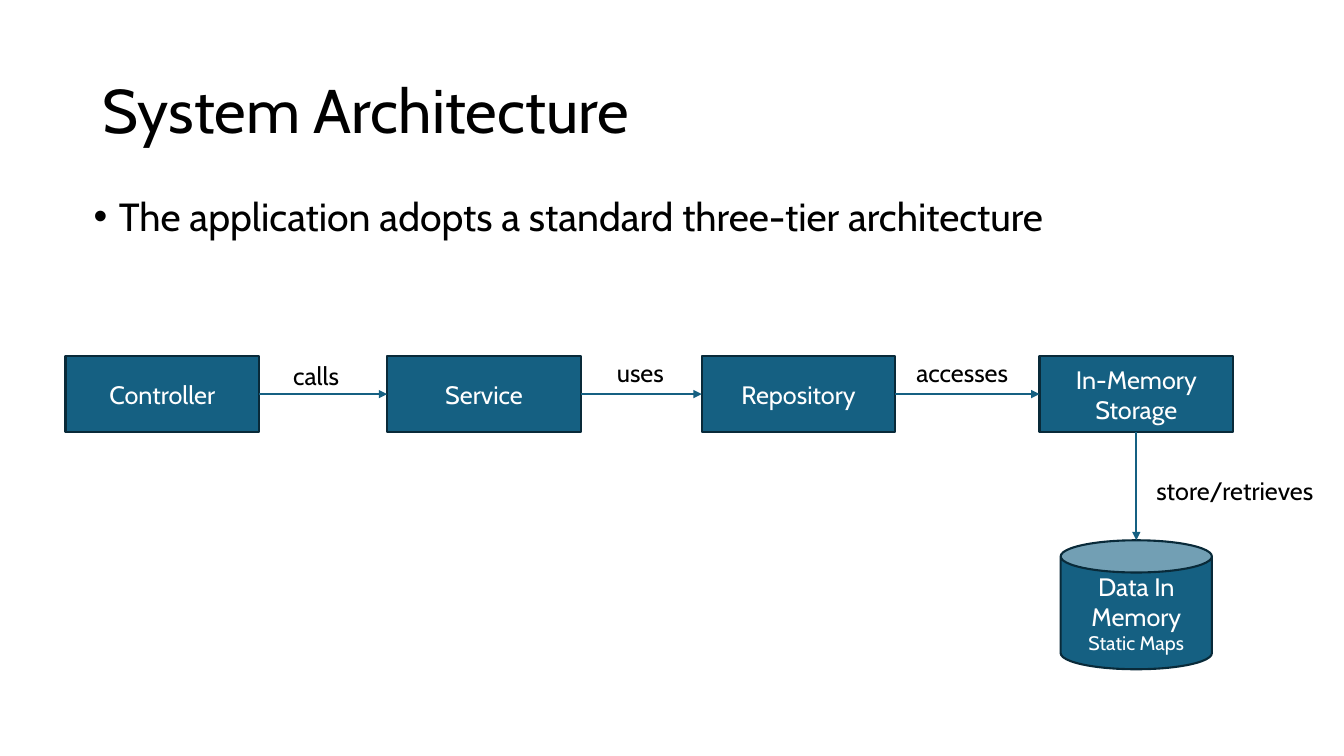
from lxml import etree
from pptx import Presentation
from pptx.dml.color import RGBColor
from pptx.enum.shapes import MSO_CONNECTOR, MSO_SHAPE
from pptx.enum.text import MSO_ANCHOR, PP_ALIGN
from pptx.oxml.ns import qn
from pptx.util import Pt

EMU_PER_PX = 9144
RECTANGLE, CAN = MSO_SHAPE.RECTANGLE, MSO_SHAPE.CAN
STRAIGHT = MSO_CONNECTOR.STRAIGHT
LEFT, CENTER = PP_ALIGN.LEFT, PP_ALIGN.CENTER
TOP, MIDDLE = MSO_ANCHOR.TOP, MSO_ANCHOR.MIDDLE

FONT = "Cabin"
BLACK, WHITE, TEAL, NAVY = "000000", "FFFFFF", "156082", "092A39"
TIER_TOP, TIER_WIDTH, TIER_HEIGHT = 353, 192, 76
TIERS = [
    (65, ["Controller"]),
    (384, ["Service"]),
    (696, ["Repository"]),
    (1031, ["In-Memory", "Storage"]),
]
STORE_BOX = (1052, 536, 150, 128)
RELATIONS = [
    ("calls", (281, 353, 77, 40)),
    ("uses", (602, 350, 77, 40)),
    ("accesses", (899, 350, 129, 40)),
    ("store/retrieves", (1137, 467, 191, 40)),
]


def px(*lengths):
    return [length * EMU_PER_PX for length in lengths]


def color(hex_value):
    return RGBColor.from_string(hex_value)


def apply(target, values):
    for name, value in values.items():
        setattr(target, name, value)


def write(frame, lines, ink, anchor=TOP, **layout):
    apply(frame, {"word_wrap": True, "vertical_anchor": anchor})
    for index, (text, size) in enumerate(lines):
        paragraph = frame.add_paragraph() if index else frame.paragraphs[0]
        apply(paragraph, layout)
        run = paragraph.add_run()
        run.text = text
        apply(run.font, {"name": FONT, "size": Pt(size)})
        run.font.color.rgb = color(ink)
    return frame


def add_text(slide, box, text, size, **layout):
    frame = slide.shapes.add_textbox(*px(*box)).text_frame
    return write(frame, [(text, size)], BLACK, **layout)


def add_bullet(slide, box, text, size):
    frame = add_text(slide, box, text, size, line_spacing=0.9, space_before=Pt(10))
    properties = frame.paragraphs[0]._p.get_or_add_pPr()
    indent, = px(25)
    properties.set("marL", str(indent))
    properties.set("indent", str(-indent))
    etree.SubElement(properties, qn("a:buFont")).set("typeface", "Arial")
    etree.SubElement(properties, qn("a:buChar")).set("char", "•")


def add_node(slide, kind, box, lines):
    node = slide.shapes.add_shape(kind, *px(*box))
    node.shadow.inherit = False
    node.fill.solid()
    node.fill.fore_color.rgb = color(TEAL)
    node.line.color.rgb = color(NAVY)
    node.line.width = Pt(1.5)
    write(node.text_frame, lines, WHITE, MIDDLE, alignment=CENTER)


def add_arrow(slide, start, end):
    arrow = slide.shapes.add_connector(STRAIGHT, *px(*start, *end))
    arrow.line.color.rgb = color(TEAL)
    arrow.line.width = Pt(1.5)
    etree.SubElement(arrow.line._get_or_add_ln(), qn("a:tailEnd")).set("type", "triangle")
    etree.SubElement(arrow._element.spPr, qn("a:effectLst"))


def main():
    deck = Presentation()
    apply(deck, dict(zip(("slide_width", "slide_height"), px(1333, 750))))
    slide = deck.slides.add_slide(deck.slide_layouts[6])

    add_text(slide, (92, 40, 1150, 145), "System Architecture", 44,
             anchor=MIDDLE, alignment=LEFT, line_spacing=0.9)
    for left, lines in TIERS:
        add_node(slide, RECTANGLE, (left, TIER_TOP, TIER_WIDTH, TIER_HEIGHT),
                 [(line, 18) for line in lines])
    add_node(slide, CAN, STORE_BOX, [("Data In Memory", 18), ("Static Maps", 14)])

    tier_middle = TIER_TOP + TIER_HEIGHT // 2
    for (caller, _), (callee, _) in zip(TIERS, TIERS[1:]):
        add_arrow(slide, (caller + TIER_WIDTH, tier_middle), (callee, tier_middle))
    storage_left = TIERS[-1][0]
    store_left, store_top, store_width, _ = STORE_BOX
    add_arrow(slide, (storage_left + TIER_WIDTH // 2, TIER_TOP + TIER_HEIGHT),
              (store_left + store_width // 2, store_top))

    for relation, box in RELATIONS:
        add_text(slide, box, relation, 18)
    add_bullet(slide, (83, 191, 1150, 476),
               "The application adopts a standard three-tier architecture", 28)
    deck.save("out.pptx")


if __name__ == "__main__":
    main()
